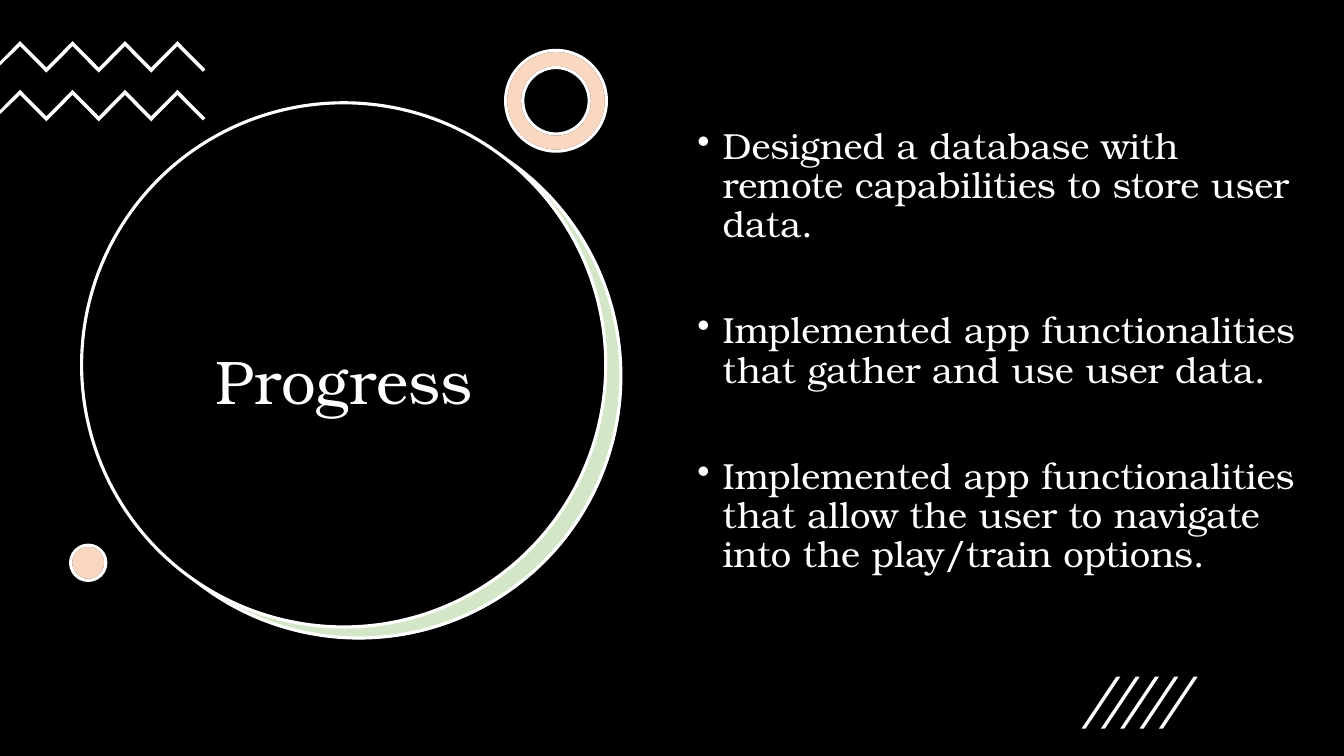
from lxml import etree
from pptx import Presentation, util as u
from pptx.dml.color import RGBColor
from pptx.enum import shapes, text
from pptx.oxml import ns

COLUMNS, ROWS = 160, 90
BLACK, WHITE, GREEN, ORANGE = "000000", "FFFFFF", "70AD47", "ED7D31"
SHAPE = shapes.MSO_SHAPE


def colour(hex_string):
    """Turn a hex string into a colour."""
    return RGBColor.from_string(hex_string)


class Canvas:
    """Hold the style and the current slide, measured in grid columns and rows."""

    font = "TeX Gyre Bonum"
    ink = WHITE
    line_width = u.Pt(2.25)
    line_spacing = 0.9

    def __init__(self, presentation):
        """Add a blank slide and work out the grid cell."""
        self.slide = presentation.slides.add_slide(presentation.slide_layouts[6])
        self.column = presentation.slide_width / COLUMNS
        self.row = presentation.slide_height / ROWS

    def place(self, *lengths):
        """Turn alternating columns and rows into slide lengths."""
        units = (self.column, self.row)
        return [round(length * units[i % 2]) for i, length in enumerate(lengths)]

    def paint(self, shape, fill, line=None, opacity=100):
        """Set fill, outline and opacity, without a shadow."""
        shape.shadow.inherit = False
        shape.fill.solid()
        shape.fill.fore_color.rgb = colour(fill)
        if opacity < 100:
            tint = shape._element.spPr.find(ns.qn("a:solidFill"))[0]
            etree.SubElement(tint, ns.qn("a:alpha"), val=str(opacity * 1000))
        if line:
            shape.line.color.rgb = colour(line)
            shape.line.width = self.line_width
        else:
            shape.line.fill.background()

    def preset(self, kind, box, fill, line=None, opacity=100):
        """Add a preset shape."""
        shape = self.slide.shapes.add_shape(kind, *self.place(*box))
        self.paint(shape, fill, line, opacity)
        return shape

    def outline(self, points, fill):
        """Add a closed freeform through the given points."""
        start, *others = [self.place(*point) for point in points]
        builder = self.slide.shapes.build_freeform(*start)
        builder.add_line_segments(others, close=True)
        self.paint(builder.convert_to_shape(), fill)

    def words(self, box, paragraphs, size, anchor, align, gap=0, bullet=None):
        """Add a text box, with bullets if a mark is given."""
        frame = self.slide.shapes.add_textbox(*self.place(*box)).text_frame
        frame.word_wrap = True
        frame.vertical_anchor = anchor
        frame.text = "\n".join(paragraphs)
        for i, paragraph in enumerate(frame.paragraphs):
            paragraph.alignment = align
            paragraph.line_spacing = self.line_spacing
            paragraph.space_before = u.Pt(gap if i else 0)
            for run in paragraph.runs:
                run.font.name = self.font
                run.font.size = u.Pt(size)
                run.font.color.rgb = colour(self.ink)
            if bullet:
                indent = u.Inches(0.25)
                properties = paragraph._p.get_or_add_pPr()
                properties.set("marL", str(indent))
                properties.set("indent", str(-indent))
                etree.SubElement(properties, ns.qn("a:buChar"), char=bullet)


def zigzag(top):
    """Return the outline of a zigzag band that starts at the left edge."""
    bends = [(2.4 + 3.12 * i, 3.15 * (i % 2)) for i in range(7)]
    upper = [(0, 2.4), *bends, (24.45, 3.35)]
    lower = [(0, 2.9), *[(x, y + 0.6) for x, y in bends], (24.15, 3.65)]
    return [(x, top + y) for x, y in upper + lower[::-1]]


def stripe(left):
    """Return the outline of one slanted stripe."""
    top, bottom, width, slant = 80.55, 86.75, 0.48, 4.15
    return [(left + width, bottom), (left, bottom),
            (left + slant, top), (left + slant + width, top)]


presentation = Presentation()
presentation.slide_width, presentation.slide_height = u.Emu(12192000), u.Emu(6858000)
canvas = Canvas(presentation)

canvas.preset(SHAPE.RECTANGLE, (0, 0, COLUMNS, ROWS), BLACK)

disc = 62.4
canvas.preset(SHAPE.OVAL, (11.64, 13.68, disc, disc), WHITE)
canvas.preset(SHAPE.OVAL, (11.52, 13.56, disc, disc), GREEN, WHITE, 30)
canvas.preset(SHAPE.OVAL, (9.72, 12.24, disc, disc), BLACK, WHITE)
canvas.words((14.52, 24.6, 52.92, 42.24), ["Progress"], 44,
             text.MSO_ANCHOR.MIDDLE, text.PP_ALIGN.CENTER)

for top in (4.9, 10.7):
    canvas.outline(zigzag(top), WHITE)

ring_box, dot_box = (60.2, 6, 12, 12), (8.4, 64.9, 4.2, 4.2)
for fill, line, opacity in ((WHITE, BLACK, 100), (ORANGE, WHITE, 30)):
    ring = canvas.preset(SHAPE.DONUT, ring_box, fill, line, opacity)
    ring.adjustments[0] = 0.17
    canvas.preset(SHAPE.OVAL, dot_box, fill, line, opacity)

canvas.words((81.84, 14.64, 74.52, 57.36), [
    "Designed a database with remote capabilities to store user data.",
    "Implemented\u00a0app functionalities that gather and use user data.",
    "Implemented app functionalities that allow the user to navigate "
    "into the play/train options.",
], 25.9, text.MSO_ANCHOR.TOP, text.PP_ALIGN.LEFT, gap=48, bullet="\u2022")

for i in range(5):
    canvas.outline(stripe(128.76 + 2.3 * i), WHITE)

presentation.save("out.pptx")
